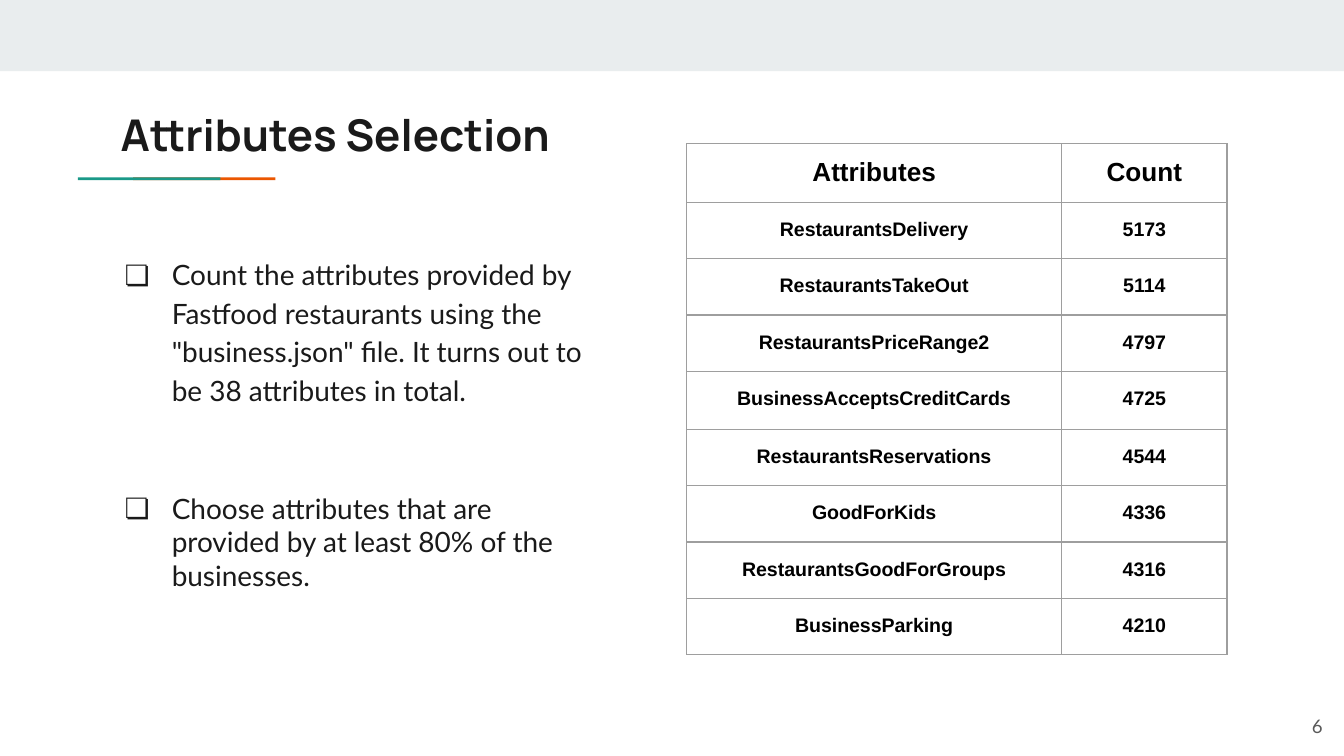
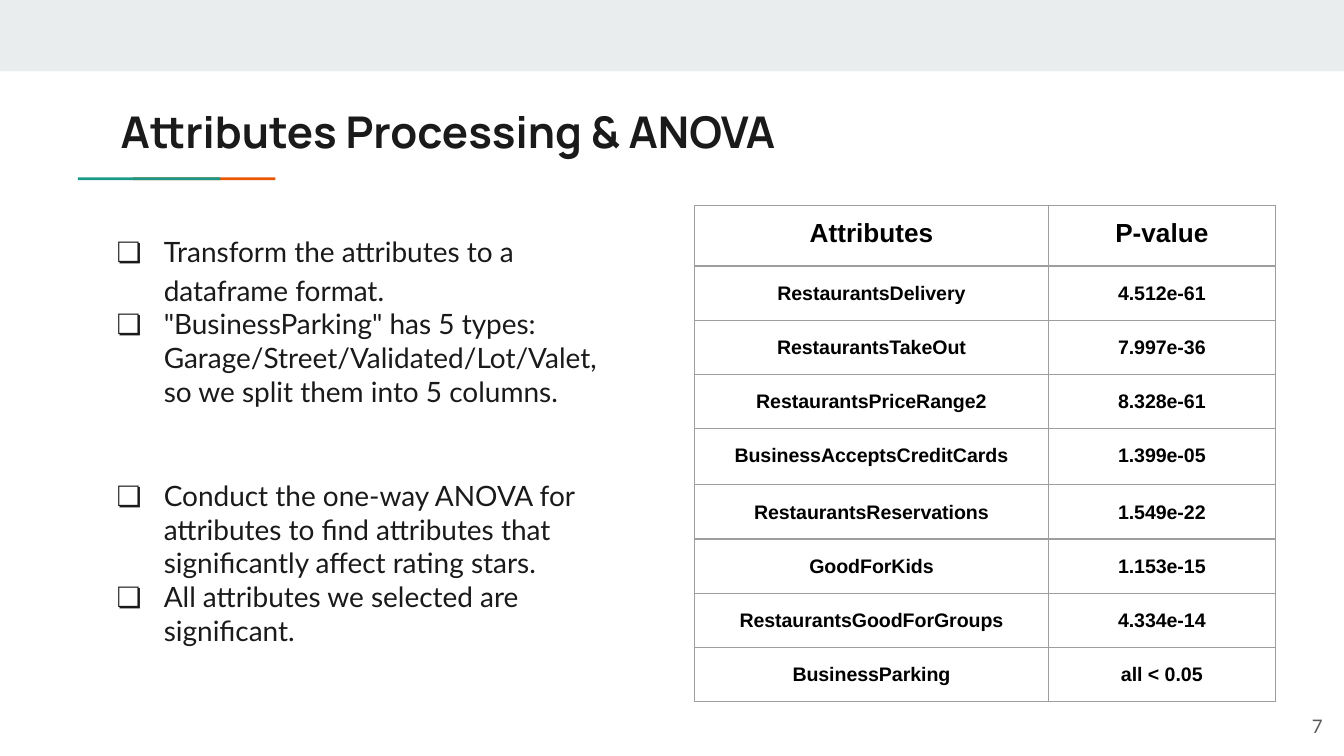
"""Build two slides on choosing and testing restaurant attributes."""
from dataclasses import dataclass
from typing import Any, NamedTuple

from lxml.etree import Element, SubElement
from pptx import Presentation
from pptx.dml.color import RGBColor
from pptx.enum.shapes import MSO_SHAPE
from pptx.enum.text import MSO_ANCHOR, PP_ALIGN
from pptx.oxml.ns import qn
from pptx.util import Inches, Pt

COLORS = {
    "band": "E9EDEE",
    "orange": "EB5600",
    "teal": "1A9988",
    "ink": "1A1A1A",
    "page": "595959",
    "table": "000000",
    "border": "9E9E9E",
}
COLUMNS, ROWS = 100, 56.25
UNIT = Inches(10) / COLUMNS
INSETS = dict.fromkeys(
    ("margin_left", "margin_top", "margin_right", "margin_bottom"), Inches(0.1)
)
TITLE_FONT = {"name": "Manrope", "size": Pt(23.4), "bold": True}
BODY_FONT = {"name": "Lato", "size": Pt(15)}
PAGE_FONT = {"name": "Lato", "size": Pt(10)}
HEADER_FONT = {"name": "Arial", "size": Pt(14), "bold": True}
CELL_FONT = HEADER_FONT | {"size": Pt(10.5)}
ATTRIBUTES = (
    "RestaurantsDelivery",
    "RestaurantsTakeOut",
    "RestaurantsPriceRange2",
    "BusinessAcceptsCreditCards",
    "RestaurantsReservations",
    "GoodForKids",
    "RestaurantsGoodForGroups",
    "BusinessParking",
)


class Area(NamedTuple):
    """Left, top, width and height in grid units."""

    left: float
    top: float
    width: float
    height: float


class Bar(NamedTuple):
    """A plain coloured rectangle."""

    area: Area
    color: str


class Bullet(NamedTuple):
    """A bulleted paragraph with its spacing."""

    text: str
    line_spacing: float = 1.0
    space_before: float = 0


@dataclass(frozen=True)
class ScoreTable:
    """Attribute scores with column widths and row heights in grid units."""

    left: float
    top: float
    heading: str
    scores: tuple[str, ...]
    widths: tuple[float, float]
    header_height: float
    row_height: float
    tall_height: float


@dataclass(frozen=True)
class Topic:
    """The content of one slide."""

    page: int
    title: str
    title_top: float
    body: Area
    bullets: tuple[Bullet, ...]
    table: ScoreTable


BARS = (
    Bar(Area(0, 0, COLUMNS, 5.3), "band"),
    Bar(Area(9.9, 13.2, 10.6, 0.2), "orange"),
    Bar(Area(5.8, 13.2, 10.6, 0.2), "teal"),
)
TOPICS = (
    Topic(
        6,
        "Attributes Selection",
        7,
        Area(6.8, 17.8, 39, 29.9),
        (
            Bullet(
                "Count the attributes provided by Fastfood restaurants using the "
                '"business.json" file. It turns out to be 38 attributes in total.',
                line_spacing=1.15,
            ),
            Bullet(
                "Choose attributes that are provided by at least 80% of the businesses.",
                space_before=45,
            ),
        ),
        ScoreTable(
            51.1, 10.7, "Count",
            ("5173", "5114", "4797", "4725", "4544", "4336", "4316", "4210"),
            (27.9, 12.3), 4.3, 4.2, 4.3,
        ),
    ),
    Topic(
        7,
        "Attributes Processing & ANOVA",
        6.8,
        Area(6.2, 16.1, 39.5, 35.4),
        (
            Bullet("Transform the attributes to a dataframe format.", line_spacing=1.15),
            Bullet(
                '"BusinessParking" has 5 types: Garage/Street/Validated/Lot/Valet, '
                "so we split them into 5 columns."
            ),
            Bullet(
                "Conduct the one-way ANOVA for attributes to find attributes that "
                "significantly affect rating stars.",
                space_before=38,
            ),
            Bullet("All attributes we selected are significant."),
        ),
        ScoreTable(
            51.7, 15.3, "P-value",
            ("4.512e-61", "7.997e-36", "8.328e-61", "1.399e-05",
             "1.549e-22", "1.153e-15", "4.334e-14", "all < 0.05"),
            (26.3, 16.9), 4.5, 4.03, 4.2,
        ),
    ),
)


def grid(*units: float) -> list[int]:
    """Convert grid units to slide lengths."""
    return [round(unit * UNIT) for unit in units]


def apply(target: Any, values: dict[str, Any]) -> None:
    """Set each format value on the target."""
    for key, value in values.items():
        setattr(target, key, value)


def write(paragraph: Any, text: str, font: dict[str, Any], color: str, **layout: Any) -> None:
    """Put formatted text in a paragraph."""
    run = paragraph.add_run()
    run.text = text
    apply(run.font, font)
    run.font.color.rgb = RGBColor.from_string(COLORS[color])
    apply(paragraph, layout)


def add_bar(slide: Any, bar: Bar) -> None:
    """Draw a borderless rectangle."""
    rectangle = slide.shapes.add_shape(MSO_SHAPE.RECTANGLE, *grid(*bar.area))
    rectangle.shadow.inherit = False
    rectangle.fill.solid()
    rectangle.fill.fore_color.rgb = RGBColor.from_string(COLORS[bar.color])
    rectangle.line.fill.background()


def add_frame(slide: Any, area: Area, anchor: MSO_ANCHOR = MSO_ANCHOR.TOP) -> Any:
    """Add a wrapping text box and return its text frame."""
    frame = slide.shapes.add_textbox(*grid(*area)).text_frame
    apply(frame, INSETS | {"word_wrap": True, "vertical_anchor": anchor})
    return frame


def add_bullets(slide: Any, area: Area, bullets: tuple[Bullet, ...]) -> None:
    """Write the bulleted list."""
    frame = add_frame(slide, area)
    for index, bullet in enumerate(bullets):
        paragraph = frame.add_paragraph() if index else frame.paragraphs[0]
        write(
            paragraph, bullet.text, BODY_FONT, "ink",
            line_spacing=bullet.line_spacing, space_before=Pt(bullet.space_before),
        )
        properties = paragraph._p.get_or_add_pPr()
        properties.set("marL", str(Inches(0.5)))
        properties.set("indent", str(-Inches(0.35)))
        tint = SubElement(properties, qn("a:buClr"))
        SubElement(tint, qn("a:srgbClr"), val=COLORS["ink"])
        SubElement(properties, qn("a:buFont"), typeface="Lato")
        SubElement(properties, qn("a:buChar"), char="❏")


def add_borders(cell: Any) -> None:
    """Draw a thin line on all four sides of a cell."""
    properties = cell._tc.get_or_add_tcPr()
    for index, side in enumerate(("lnL", "lnR", "lnT", "lnB")):
        edge = Element(qn(f"a:{side}"), w=str(Pt(0.75)))
        fill = SubElement(edge, qn("a:solidFill"))
        SubElement(fill, qn("a:srgbClr"), val=COLORS["border"])
        properties.insert(index, edge)


def add_scores(slide: Any, scores: ScoreTable) -> None:
    """Draw the table of attributes and their scores."""
    entries = [("Attributes", scores.heading), *zip(ATTRIBUTES, scores.scores)]
    heights = [scores.header_height] + [
        scores.tall_height if name == "BusinessAcceptsCreditCards" else scores.row_height
        for name in ATTRIBUTES
    ]
    area = Area(scores.left, scores.top, sum(scores.widths), sum(heights))
    table = slide.shapes.add_table(len(entries), 2, *grid(*area)).table
    apply(table, {"first_row": False, "horz_banding": False})
    for column, width in zip(table.columns, grid(*scores.widths)):
        column.width = width
    for index, (row, height) in enumerate(zip(table.rows, grid(*heights))):
        row.height = height
        for cell, text in zip(row.cells, entries[index]):
            apply(cell, INSETS)
            cell.fill.background()
            add_borders(cell)
            write(
                cell.text_frame.paragraphs[0], text,
                CELL_FONT if index else HEADER_FONT, "table",
                alignment=PP_ALIGN.CENTER, line_spacing=1.15 if index else 1.0,
            )


def add_topic(deck: Any, topic: Topic) -> None:
    """Add one slide with its shared parts and content."""
    slide = deck.slides.add_slide(deck.slide_layouts[6])
    for bar in BARS:
        add_bar(slide, bar)
    title = add_frame(slide, Area(8, topic.title_top, 84.1, 5.9))
    write(title.paragraphs[0], topic.title, TITLE_FONT, "ink")
    add_bullets(slide, topic.body, topic.bullets)
    page = add_frame(slide, Area(93.4, 51.9, 6, 4.3), MSO_ANCHOR.MIDDLE)
    write(page.paragraphs[0], str(topic.page), PAGE_FONT, "page", alignment=PP_ALIGN.RIGHT)
    add_scores(slide, topic.table)


def main() -> None:
    """Build and save the deck."""
    deck = Presentation()
    deck.slide_width, deck.slide_height = grid(COLUMNS, ROWS)
    for topic in TOPICS:
        add_topic(deck, topic)
    deck.save("out.pptx")


if __name__ == "__main__":
    main()
